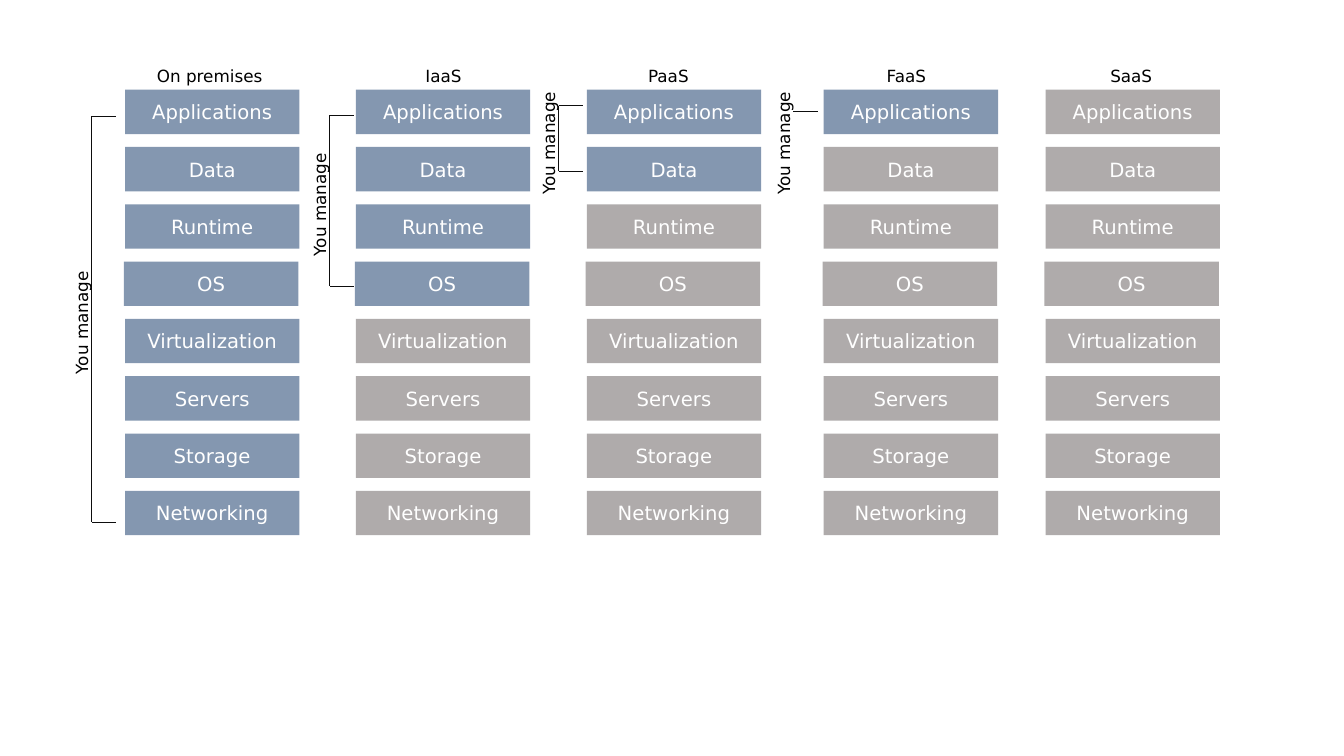
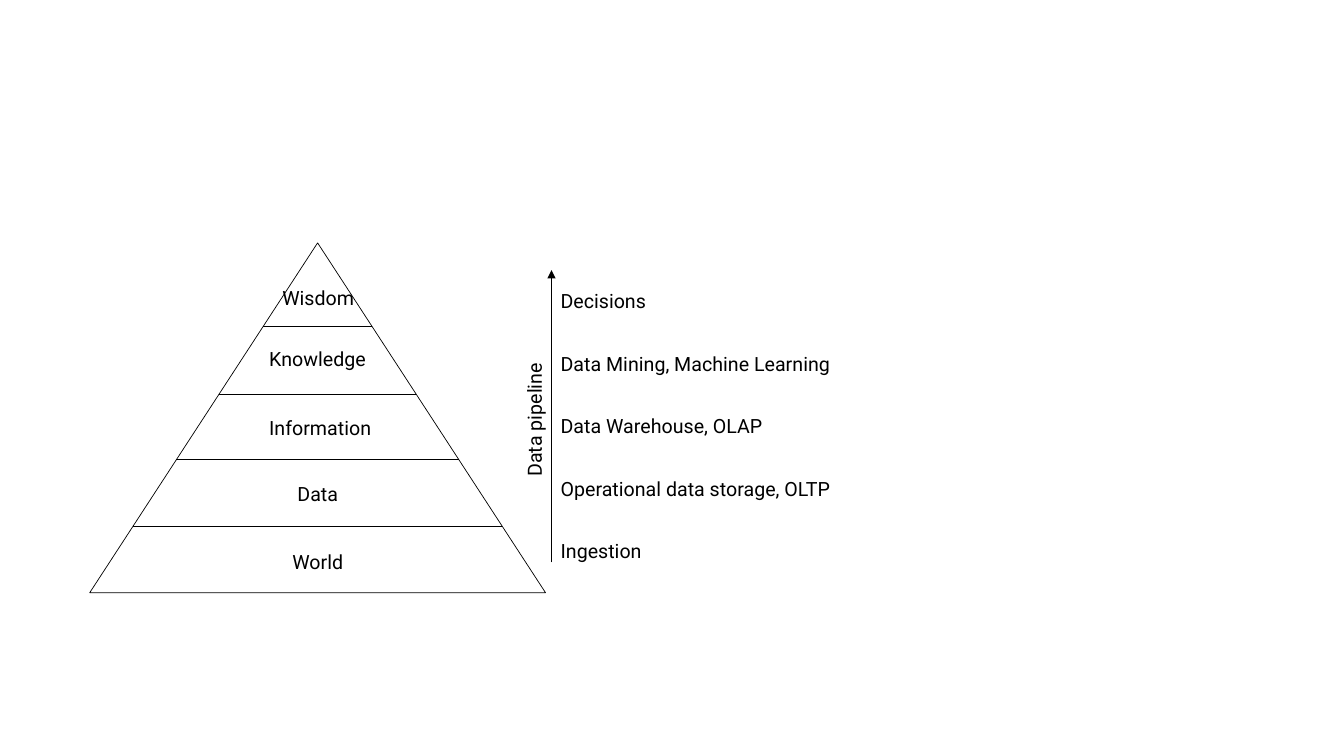
from pptx import Presentation
from pptx.dml.color import RGBColor
from pptx.enum.shapes import MSO_CONNECTOR, MSO_SHAPE
from pptx.enum.text import MSO_ANCHOR, PP_ALIGN
from pptx.oxml.ns import qn
from pptx.util import Inches, Pt
from lxml import etree

LINE, RECT = MSO_CONNECTOR.STRAIGHT, MSO_SHAPE.RECTANGLE
MIDDLE, TOP = MSO_ANCHOR.MIDDLE, MSO_ANCHOR.TOP
LEFT, CENTER = PP_ALIGN.LEFT, PP_ALIGN.CENTER
BLACK, WHITE, INK = "000000", "FFFFFF", "0D0D0D"
BLUE, GRAY = "8497B0", "AFABAB"
SANS, ROBOTO = "DejaVu Sans", "Roboto"
SIDES = ("margin_left", "margin_top", "margin_right", "margin_bottom")

LAYERS = ("Applications", "Data", "Runtime", "OS", "Virtualization",
          "Servers", "Storage", "Networking")
MODELS = (
    ("On premises", 1.24, 2.08, 8, (0.91, 1.15, 5.18, 3.19)),
    ("IaaS", 3.53, 4.4, 4, (3.27, 1.14, 2.84, 2.02)),
    ("PaaS", 5.82, 6.63, 2, (5.54, 1.05, 1.7, 1.41)),
    ("FaaS", 8.17, 8.99, 1, (7.87, 1.1, 1.1, 1.41)),
    ("SaaS", 10.37, 11.22, 0, None),
)
LEVELS = (("Wisdom", 2.8, 2.84), ("Knowledge", 2.67, 3.44),
          ("Information", 2.67, 4.13), ("Data", 2.95, 4.78),
          ("World", 2.9, 5.46))
CUTS = (3.24, 3.91, 4.56, 5.22)
STAGES = ("Decisions", "Data Mining, Machine Learning", "Data Warehouse, OLAP",
          "Operational data storage, OLTP", "Ingestion")


def color(code):
    return RGBColor.from_string(code)


def put(thing, values):
    for name, value in values.items():
        setattr(thing, name, value)


def write(shape, text, size, face, ink=BLACK, align=LEFT, anchor=TOP,
          wrap=False, inset=None):
    frame = shape.text_frame
    put(frame, {"word_wrap": wrap, "vertical_anchor": anchor})
    if inset is not None:
        put(frame, dict.fromkeys(SIDES, Inches(inset)))
    para = frame.paragraphs[0]
    para.alignment = align
    run = para.add_run()
    run.text = text
    put(run.font, {"size": Pt(size), "name": face})
    run.font.color.rgb = color(ink)


def label(slide, box, text, size, face, turn=0, **style):
    shape = slide.shapes.add_textbox(*map(Inches, box))
    shape.rotation = turn
    write(shape, text, size, face, **style)


def stroke(line, ink):
    line.color.rgb = color(ink)
    line.width = Pt(0.5)


def rule(slide, start, end, ink=BLACK, arrow=False):
    wire = slide.shapes.add_connector(LINE, *map(Inches, start + end))
    stroke(wire.line, ink)
    if arrow:
        etree.SubElement(wire.line._get_or_add_ln(), qn("a:tailEnd"),
                         type="triangle")
    etree.SubElement(wire._element.spPr, qn("a:effectLst"))


def stack(slide, box, owned):
    left, top, width, height = box
    step = (4.87 - top) / (len(LAYERS) - 1)
    for row, text in enumerate(LAYERS):
        shift = 0.01 if text == "OS" else 0
        cell = (left - shift, top + row * step, width, height)
        shape = slide.shapes.add_shape(RECT, *map(Inches, cell))
        shape.shadow.inherit = False
        shape.fill.solid()
        shape.fill.fore_color.rgb = color(BLUE if row < owned else GRAY)
        shape.line.fill.background()
        write(shape, text, 14, SANS, WHITE, CENTER, MIDDLE, True)


def bracket(slide, stem, top, base, mid):
    for y in sorted({top, base}):
        rule(slide, (stem + 0.24, y), (stem, y), INK)
    if base > top:
        rule(slide, (stem, base), (stem, top), INK)
    label(slide, (stem - 0.72, mid - 0.15, 1.24, 0.3), "You manage", 12, SANS,
          turn=270)


def clouds(slide):
    for name, left, center, owned, span in MODELS:
        stack(slide, (left, 0.89, 1.73, 0.44), owned)
        if span:
            bracket(slide, *span)
        label(slide, (center - 0.63, 0.6, 1.26, 0.3), name, 12, SANS,
              align=CENTER)


def pyramid(slide, box):
    left, top, width, height = box
    peak, base = left + width / 2, top + height
    form = slide.shapes.build_freeform(Inches(left), Inches(base))
    points = ((peak, top), (left + width, base))
    form.add_line_segments([tuple(map(Inches, spot)) for spot in points])
    shape = form.convert_to_shape()
    shape.shadow.inherit = False
    shape.fill.background()
    stroke(shape.line, BLACK)
    for y in CUTS:
        half = (y - top) / height * width / 2
        rule(slide, (peak - half, y), (peak + half, y))
    for text, x, y in LEVELS:
        label(slide, (x, y, 1.2, 0.24), text, 14, ROBOTO, wrap=True, inset=0)


def pipeline(slide, box):
    left, top, width, height = box
    rule(slide, (left, top + height), (left, top), arrow=True)
    label(slide, (left - 0.75, 3.99, 1.2, 0.28), "Data pipeline", 14, ROBOTO,
          turn=270, wrap=True, inset=0)
    for row, text in enumerate(STAGES):
        spot = (left + 0.09, top + 0.19 + row * 0.62, width, 0.24)
        label(slide, spot, text, 14, ROBOTO, wrap=True, inset=0)


deck = Presentation()
put(deck, {"slide_width": Inches(13.33), "slide_height": Inches(7.5)})
blank = deck.slide_layouts[6]
clouds(deck.slides.add_slide(blank))
wisdom = deck.slides.add_slide(blank)
pyramid(wisdom, (0.89, 2.41, 4.52, 3.47))
pipeline(wisdom, (5.47, 2.68, 3.21, 2.9))
deck.save("out.pptx")
